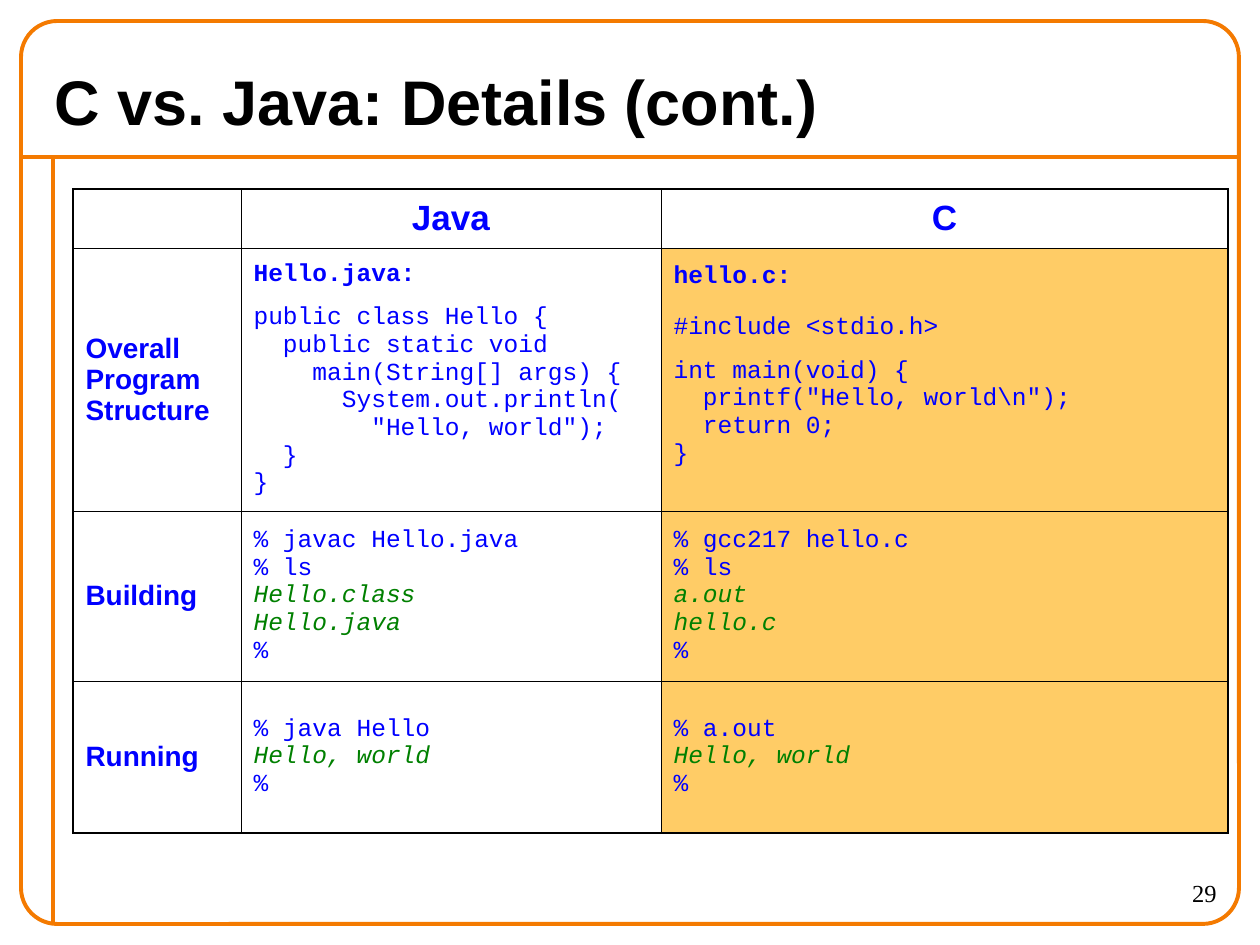
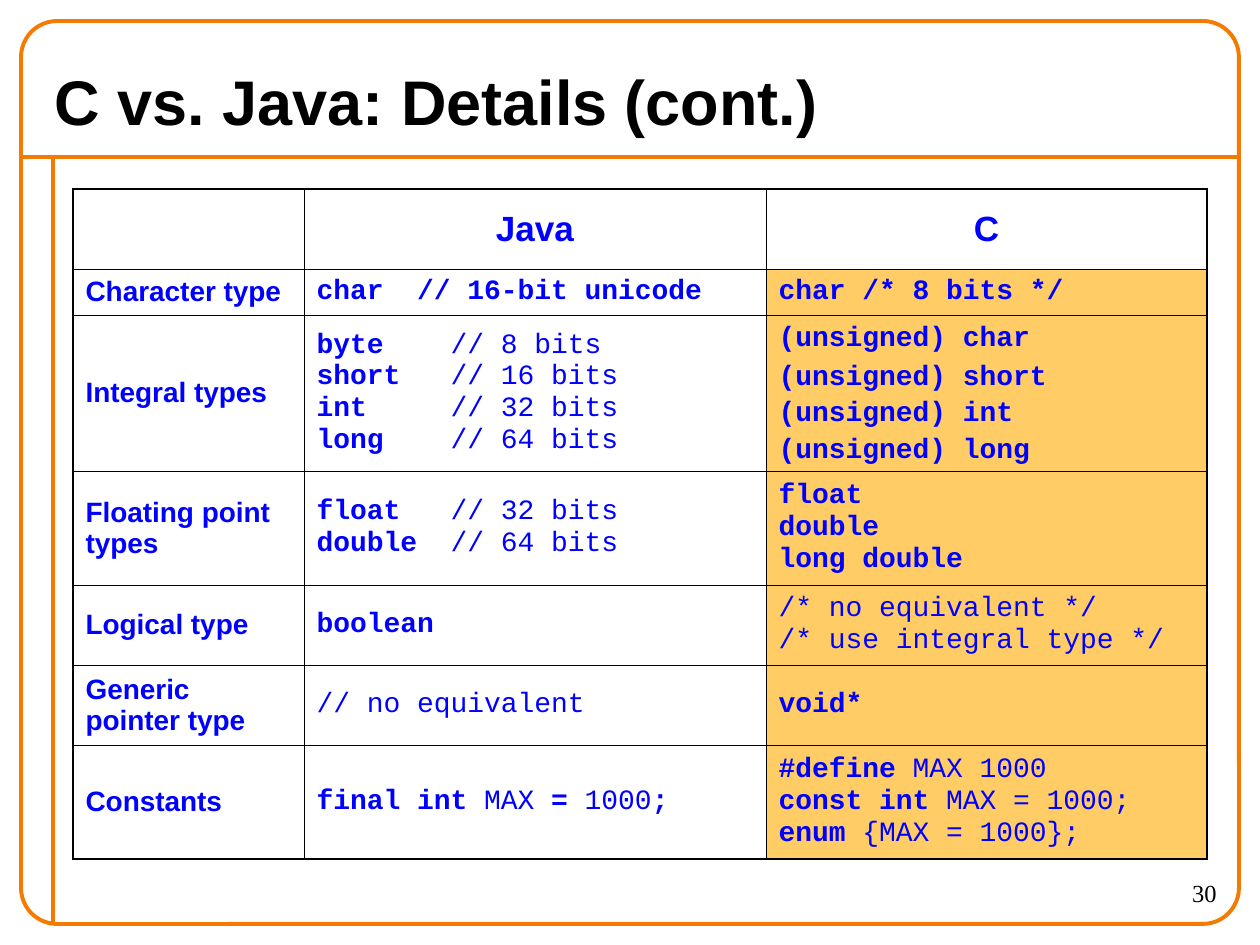
from dataclasses import dataclass
from typing import NamedTuple

from lxml import etree
from pptx import Presentation
from pptx.dml.color import RGBColor
from pptx.enum.shapes import MSO_CONNECTOR, MSO_SHAPE
from pptx.enum.text import MSO_ANCHOR, MSO_AUTO_SIZE, PP_ALIGN
from pptx.oxml.ns import qn
from pptx.util import Emu, Pt

STRAIGHT = MSO_CONNECTOR.STRAIGHT
ROUNDED = MSO_SHAPE.ROUNDED_RECTANGLE
MIDDLE = MSO_ANCHOR.MIDDLE
NO_FIT = MSO_AUTO_SIZE.NONE
LEFT, CENTER, RIGHT = PP_ALIGN.LEFT, PP_ALIGN.CENTER, PP_ALIGN.RIGHT


@dataclass(frozen=True)
class Theme:
    frame: str = "F47A00"
    ink: str = "000000"
    text: str = "0000FF"
    output: str = "008000"
    accent: str = "FFCC66"
    sans: str = "Arial"
    mono: str = "Courier New"
    serif: str = "Times New Roman"
    title: int = 36
    head: int = 20
    label: int = 16
    page: int = 14
    rule: float = 2.25
    outer: float = 1.08
    inner: float = 0.45


THEME = Theme()


class Look(NamedTuple):
    bold: bool = False
    italic: bool = False
    color: str = THEME.text


PLAIN = Look()
BOLD = Look(bold=True)
OUTPUT = Look(italic=True, color=THEME.output)


class Span(NamedTuple):
    text: str
    look: Look = PLAIN


class Para(NamedTuple):
    spans: list[Span]
    gap: float = 0
    lead: float | None = None


class Row(NamedTuple):
    height: int
    label: str
    java: list[Para]
    c: list[Para]
    lift: int = 0  # extra space under the C code


class Page(NamedTuple):
    number: int
    cols: list[int]
    head: int
    size: int
    rows: list[Row]


def px(n: int) -> Emu:
    return Emu(round(n * 914400 / 126))


def bold(text: str) -> Span:
    return Span(text, BOLD)


def out(text: str) -> Span:
    return Span(text, OUTPUT)


def one(*spans: Span) -> list[Para]:
    return [Para(list(spans))]


def shell(build: str, result: str) -> list[Para]:
    return one(Span(build + "\n"), out(result + "\n"), Span("%"))


def dress(font, look: Look) -> None:
    font.bold, font.italic = look.bold, look.italic
    font.color.rgb = RGBColor.from_string(look.color)


def write(frame, paras: list[Para], name: str, size: int, align=LEFT) -> None:
    for i, para in enumerate(paras):
        p = frame.add_paragraph() if i else frame.paragraphs[0]
        p.alignment = align
        if para.gap:
            p.space_before = Pt(para.gap)
        if para.lead:
            p.line_spacing = para.lead
        base = para.spans[0].look
        p.font.name, p.font.size = name, Pt(size)
        dress(p.font, base)
        for span in para.spans:
            for j, line in enumerate(span.text.split("\n")):
                if j:
                    p.add_line_break()
                if line:
                    run = p.add_run()
                    run.text = line
                    if span.look != base:
                        dress(run.font, span.look)


def stroke(line) -> None:
    line.color.rgb = RGBColor.from_string(THEME.frame)
    line.width = Pt(THEME.rule)


def draw_rule(slide, x1: int, y1: int, x2: int, y2: int) -> None:
    rule = slide.shapes.add_connector(STRAIGHT, px(x1), px(y1), px(x2), px(y2))
    stroke(rule.line)
    etree.SubElement(rule._element.spPr, qn("a:effectLst"))


def draw_frame(slide, number: int) -> None:
    # Orange rules and rounded border
    draw_rule(slide, 21, 157, 1239, 157)
    draw_rule(slide, 53, 157, 53, 924)
    border = slide.shapes.add_shape(ROUNDED, px(21), px(21), px(1218), px(903))
    border.adjustments[0] = 0.04
    border.shadow.inherit = False
    border.fill.background()
    stroke(border.line)

    # Page number
    box = slide.shapes.add_textbox(px(1103), px(872), px(126), px(53))
    box.text_frame.word_wrap = True
    mark = Span(str(number), Look(color=THEME.ink))
    write(box.text_frame, one(mark), THEME.serif, THEME.page, RIGHT)

    # Title
    title = slide.shapes.title
    title.left, title.top = px(42), px(53)
    title.width, title.height = px(1176), px(94)
    frame = title.text_frame
    frame.auto_size, frame.vertical_anchor = NO_FIT, MIDDLE
    name = Span("C vs. Java: Details (cont.)", Look(bold=True, color=THEME.ink))
    write(frame, one(name), THEME.sans, THEME.title)


def edge(cell, row: int, col: int, last: int) -> None:
    outer = {"lnL": col == 0, "lnR": col == 2, "lnT": row == 0, "lnB": row == last}
    props = cell._tc.get_or_add_tcPr()
    for tag, thick in outer.items():
        width = Pt(THEME.outer if thick else THEME.inner)
        line = etree.SubElement(props, qn(f"a:{tag}"), w=str(width))
        fill = etree.SubElement(line, qn("a:solidFill"))
        etree.SubElement(fill, qn("a:srgbClr"), val=THEME.ink)


def draw_table(slide, page: Page) -> None:
    heights = [page.head] + [row.height for row in page.rows]
    last = len(page.rows)
    table = slide.shapes.add_table(last + 1, 3, px(73), px(189),
                                   px(sum(page.cols)), px(sum(heights))).table
    table.first_row = table.horz_banding = False
    for col, width in zip(table.columns, page.cols):
        col.width = px(width)
    for row, height in zip(table.rows, heights):
        row.height = px(height)

    # Borders and fills
    for r in range(last + 1):
        for c in range(3):
            cell = table.cell(r, c)
            cell.vertical_anchor = MIDDLE
            edge(cell, r, c, last)
            if r and c == 2:
                cell.fill.solid()
                cell.fill.fore_color.rgb = RGBColor.from_string(THEME.accent)
            else:
                cell.fill.background()

    # Wording
    for c, name in enumerate(("Java", "C"), 1):
        write(table.cell(0, c).text_frame, one(bold(name)),
              THEME.sans, THEME.head, CENTER)
    for r, row in enumerate(page.rows, 1):
        write(table.cell(r, 0).text_frame, one(bold(row.label)),
              THEME.sans, THEME.label)
        for c, code in enumerate((row.java, row.c), 1):
            write(table.cell(r, c).text_frame, code, THEME.mono, page.size)
        if row.lift:
            table.cell(r, 2).margin_bottom = px(row.lift)


JAVA_CODE = """public class Hello {
  public static void
    main(String[] args) {
      System.out.println(
        "Hello, world");
  }
}"""

C_CODE = """int main(void) {
  printf("Hello, world\\n");
  return 0;
}"""

PROGRAM = Page(29, [168, 420, 567], 59, 14, [
    Row(263, "Overall\nProgram\nStructure",
        [Para([bold("Hello.java:")]), Para([Span(JAVA_CODE)], 8.8)],
        [Para([bold("hello.c:")]),
         Para([Span("#include <stdio.h>")], 8.8, 1.3),
         Para([Span(C_CODE)], 8.8)], lift=34),
    Row(170, "Building",
        shell("% javac Hello.java\n% ls", "Hello.class\nHello.java"),
        shell("% gcc217 hello.c\n% ls", "a.out\nhello.c")),
    Row(152, "Running",
        shell("% java Hello", "Hello, world"),
        shell("% a.out", "Hello, world")),
])

TYPES = Page(30, [231, 462, 441], 80, 16, [
    Row(46, "Character type",
        one(bold("char  // 16-bit unicode")), one(bold("char /* 8 bits */"))),
    Row(156, "Integral types",
        one(bold("byte"), Span("    // 8 bits\n"),
            bold("short"), Span("   // 16 bits\n"),
            bold("int"), Span("     // 32 bits\n"),
            bold("long"), Span("    // 64 bits")),
        [Para([bold("(unsigned) char")], lead=0.9)]
        + [Para([bold(f"(unsigned) {kind}")], 10, 0.6)
           for kind in ("short", "int", "long")]),
    Row(114, "Floating point types",
        one(bold("float"), Span("   // 32 bits\n"),
            bold("double"), Span("  // 64 bits")),
        one(bold("float\ndouble\nlong double"))),
    Row(80, "Logical type",
        one(bold("boolean")),
        one(Span("/* no equivalent */\n/* use integral type */"))),
    Row(80, "Generic pointer type",
        one(Span("// no equivalent")), one(bold("void*"))),
    Row(114, "Constants",
        one(bold("final int "), Span("MAX "), bold("="), Span(" 1000"), bold(";")),
        one(bold("#define"), Span(" MAX 1000\n"),
            bold("const int"), Span(" MAX = 1000;\n"),
            bold("enum"), Span(" {MAX = 1000};"))),
])


def main() -> None:
    deck = Presentation()
    deck.slide_width, deck.slide_height = px(1260), px(945)
    for page in (PROGRAM, TYPES):
        slide = deck.slides.add_slide(deck.slide_layouts[5])
        draw_frame(slide, page.number)
        draw_table(slide, page)
    deck.save("out.pptx")


if __name__ == "__main__":
    main()
